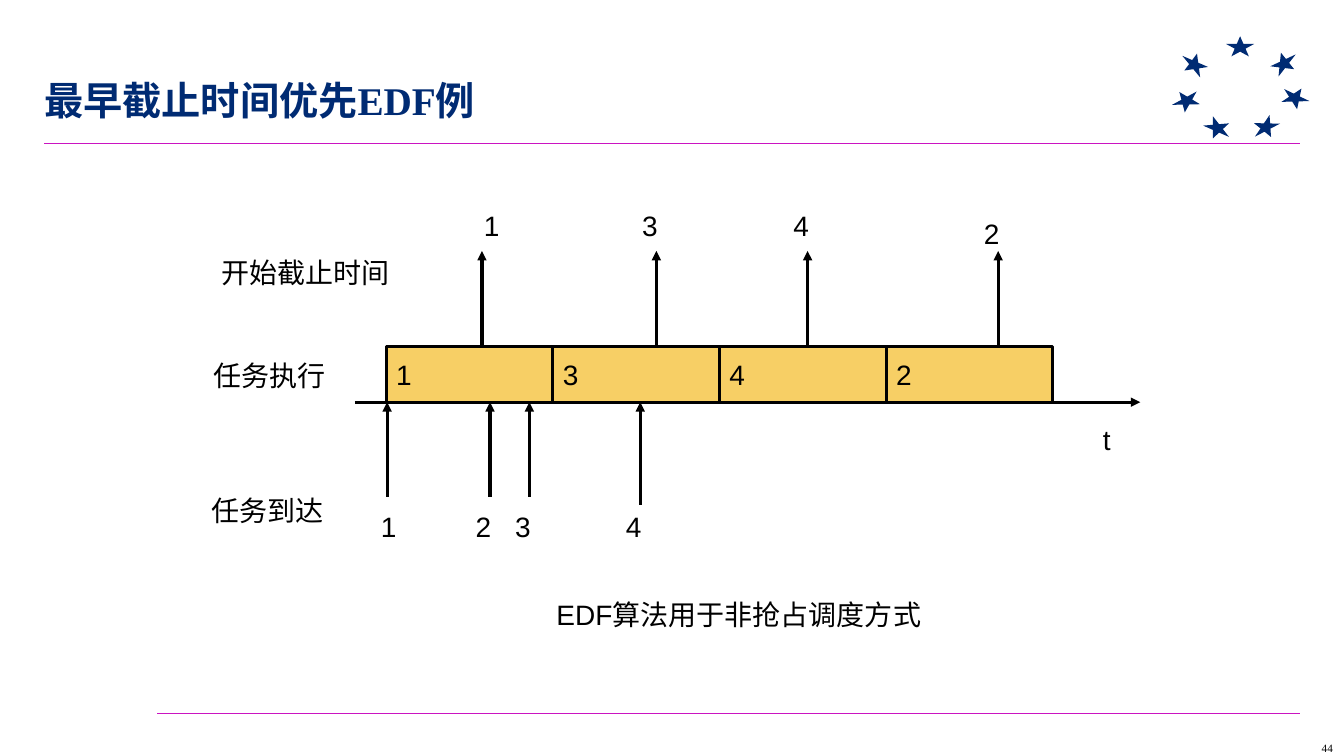
from lxml import etree
from pptx import Presentation
from pptx.dml.color import RGBColor
from pptx.enum.shapes import MSO_CONNECTOR, MSO_SHAPE
from pptx.enum.text import MSO_ANCHOR, PP_ALIGN
from pptx.oxml.ns import qn
from pptx.util import Inches, Pt

STRAIGHT = MSO_CONNECTOR.STRAIGHT
RECT, STAR = MSO_SHAPE.RECTANGLE, MSO_SHAPE.STAR_5_POINT
MIDDLE = MSO_ANCHOR.MIDDLE
LEFT, CENTER = PP_ALIGN.LEFT, PP_ALIGN.CENTER
NAVY = RGBColor(0x00, 0x2B, 0x73)
MAGENTA = RGBColor(0xCA, 0x14, 0xC1)
AMBER = RGBColor(0xF7, 0xCF, 0x65)
BLACK = RGBColor(0, 0, 0)
SANS, SERIF = "Arial", "Times New Roman"

TITLE = "最早截止时间优先EDF例"
PAGE = "44"
STARS = [
    (12.16, 0.36, 0.28, 0.2, 0),
    (12.64, 0.49, 0.21, 0.27, 51.4),
    (12.42, 1.17, 0.28, 0.2, 152.6),
    (11.73, 0.5, 0.21, 0.27, 307),
    (11.65, 0.87, 0.21, 0.27, 255.1),
    (11.93, 1.18, 0.28, 0.2, 203.5),
    (12.75, 0.84, 0.21, 0.27, 101.9),
]
RULES = [(0.44, 1.42), (1.56, 7.08)]
RULE_END = 12.89
EXECUTION = ["1", "3", "4", "2"]
DEADLINES = [("1", 4.78, 4.7, 2.02), ("3", 6.51, 6.27, 2.02),
             ("4", 8.01, 7.77, 2.02), ("2", 9.9, 9.66, 2.1)]
ARRIVALS = [("1", 3.84, 3.68, 4.93), ("2", 4.86, 4.62, 4.93),
            ("3", 5.25, 5.01, 4.93), ("4", 6.35, 6.11, 5.01)]
LABELS = [
    ("t", 10.84, 4.14, 0.38, True),
    ("开始截止时间", 2.1, 2.49, 1.88, False),
    ("任务到达", 2, 4.85, 1.32, False),
    ("任务执行", 2.02, 3.51, 1.32, False),
    ("EDF算法用于非抢占调度方式", 5.42, 5.88, 3.85, True),
]
AXIS_START, AXIS_END, AXIS_Y = 3.52, 11.31, 3.99
TASK_X, TASK_Y, TASK_W, TASK_H = 3.83, 3.44, 1.653, 0.55
DEADLINE_TIP = 2.49
ARRIVAL_TEXT_Y = 5.01
DIGIT_W, TEXT_H = 0.38, 0.44

prs = Presentation()
prs.slide_width, prs.slide_height = Inches(13.33), Inches(7.5)
s = prs.slides.add_slide(prs.slide_layouts[6])


def write(tf, text, size=20, font=SANS, color=BLACK, bold=False, align=LEFT):
    p = tf.paragraphs[0]
    p.alignment = align
    r = p.add_run()
    r.text = text
    r.font.size, r.font.name, r.font.bold = Pt(size), font, bold
    r.font.color.rgb = color
    return p


def add_text(text, x, y, w, h=TEXT_H, wrap=True, margins=True, **style):
    tf = s.shapes.add_textbox(Inches(x), Inches(y), Inches(w), Inches(h)).text_frame
    tf.word_wrap = wrap
    if not margins:
        tf.margin_left = tf.margin_top = tf.margin_right = tf.margin_bottom = 0
    return write(tf, text, **style)


def add_shape(kind, x, y, w, h, fill):
    sp = s.shapes.add_shape(kind, Inches(x), Inches(y), Inches(w), Inches(h))
    sp.shadow.inherit = False
    sp.fill.solid()
    sp.fill.fore_color.rgb = fill
    return sp


def add_line(x1, y1, x2, y2, color=BLACK, width=2.25, arrow=True):
    c = s.shapes.add_connector(STRAIGHT, Inches(x1), Inches(y1), Inches(x2), Inches(y2))
    c.line.color.rgb, c.line.width = color, Pt(width)
    if arrow:
        etree.SubElement(c.line._get_or_add_ln(), qn("a:tailEnd"), type="triangle")
    etree.SubElement(c._element.spPr, qn("a:effectLst"))


add_text(PAGE, 13, 7.35, 0.33, 0.13, margins=False, size=8, font=SERIF, align=CENTER)
for x, y, w, h, angle in STARS:
    star = add_shape(STAR, x, y, w, h, NAVY)
    star.line.fill.background()
    star.rotation = angle
for x, y in RULES:
    add_line(x, y, RULE_END, y, MAGENTA, 0.75, False)
title = add_text(TITLE, 0.44, 0.83, 12.44, 0.42, margins=False,
                 size=28, font=SERIF, color=NAVY, bold=True)
title.line_spacing = 0.85

add_line(AXIS_START, AXIS_Y, AXIS_END, AXIS_Y)
for i, task in enumerate(EXECUTION):
    sp = add_shape(RECT, TASK_X + i * TASK_W, TASK_Y, TASK_W, TASK_H, AMBER)
    sp.line.color.rgb, sp.line.width = BLACK, Pt(2.25)
    tf = sp.text_frame
    tf.word_wrap, tf.vertical_anchor = False, MIDDLE
    write(tf, task)

for task, x, text_x, text_y in DEADLINES:
    add_line(x, TASK_Y, x, DEADLINE_TIP)
    add_text(task, text_x, text_y, DIGIT_W)
for task, x, text_x, tail_y in ARRIVALS:
    add_line(x, tail_y, x, AXIS_Y)
    add_text(task, text_x, ARRIVAL_TEXT_Y, DIGIT_W)
for text, x, y, w, wrap in LABELS:
    add_text(text, x, y, w, wrap=wrap)

prs.save("out.pptx")
